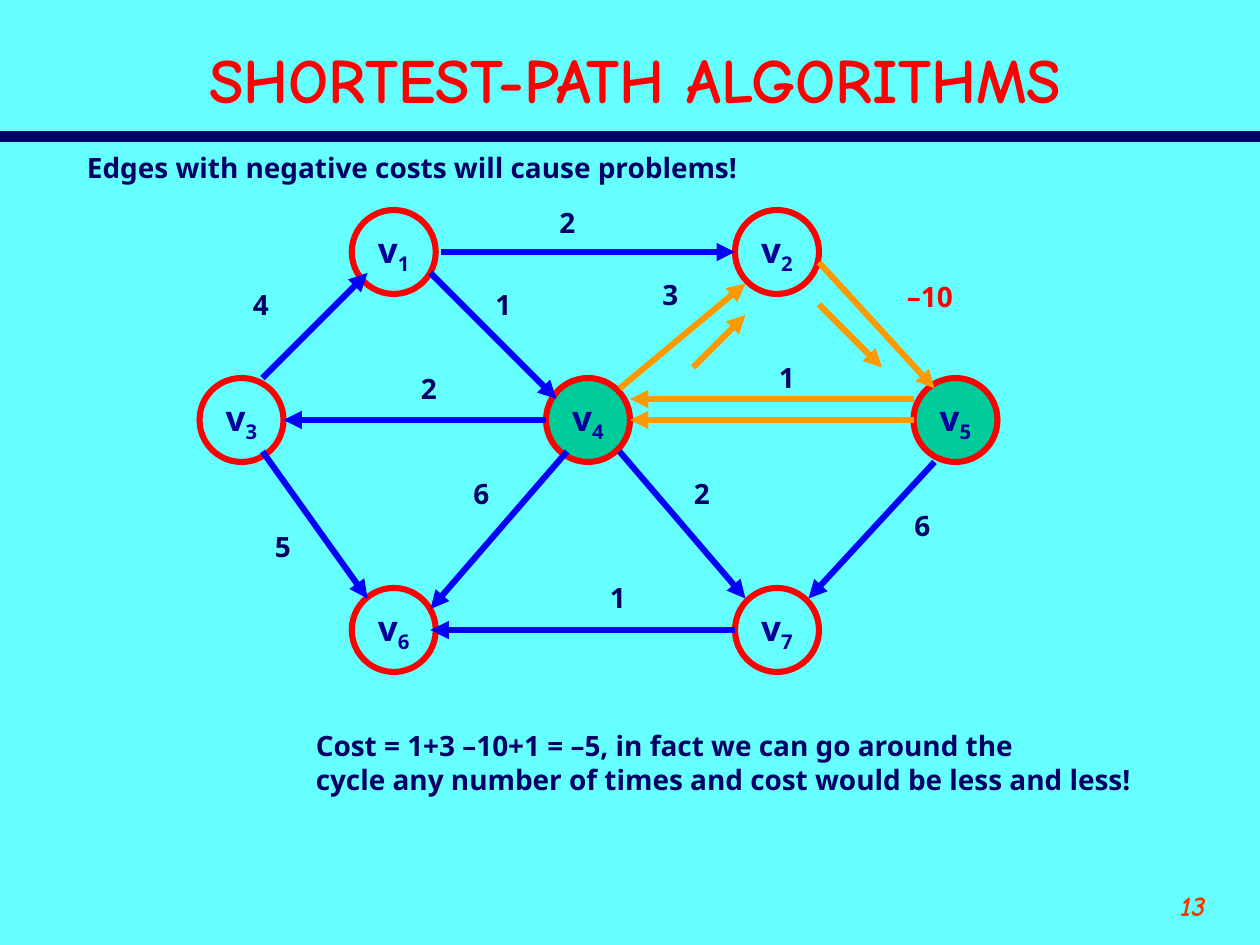
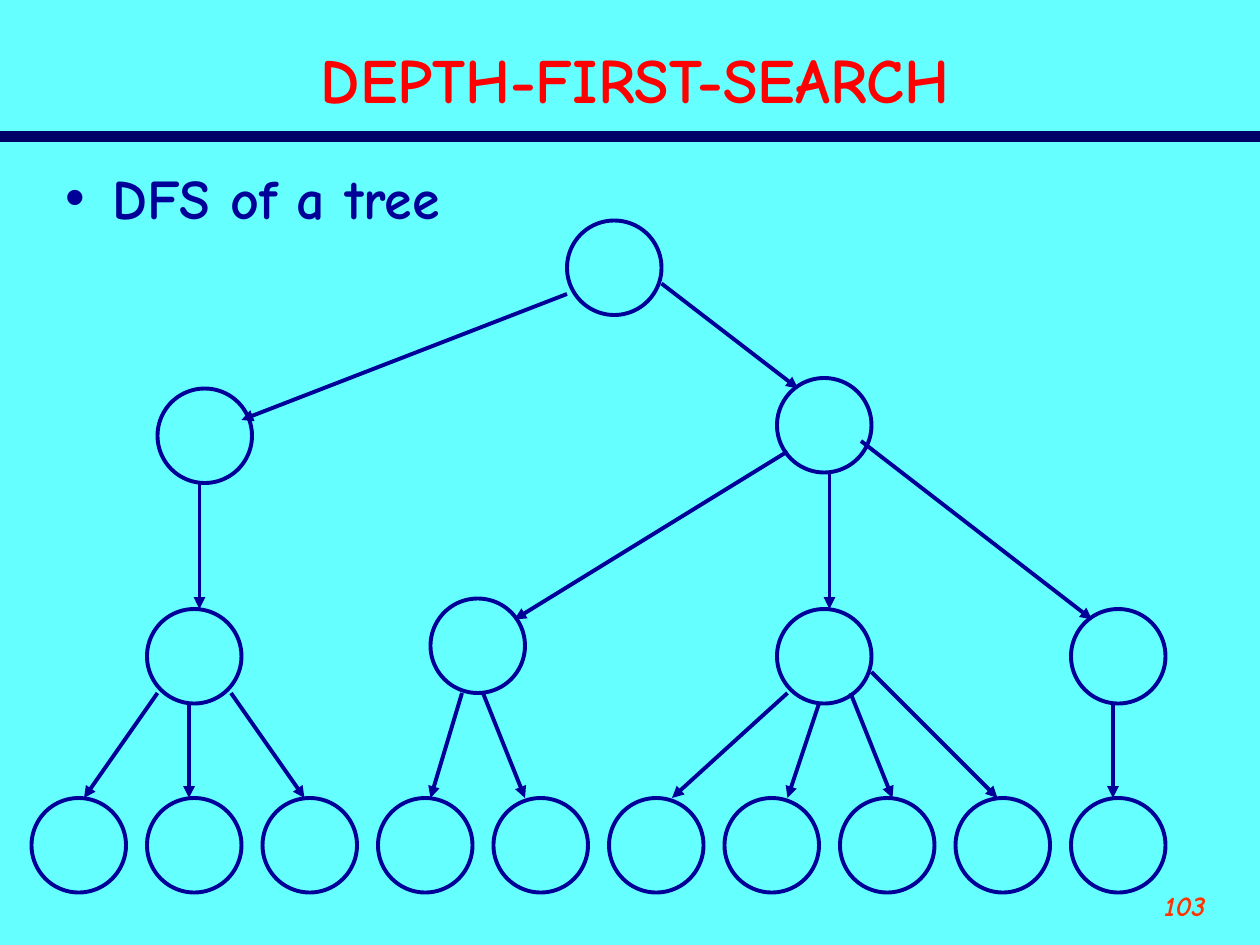
from pptx import Presentation
from pptx.dml.color import RGBColor
from pptx.enum.shapes import MSO_CONNECTOR, MSO_SHAPE
from pptx.enum.text import MSO_ANCHOR, MSO_AUTO_SIZE, PP_ALIGN
from pptx.oxml.ns import qn
from pptx.util import Cm, Pt
from lxml.etree import SubElement

SKY, NAVY, INK = "66FFFF", "000066", "000099"
RED, BLUE, GOLD, GREEN, RUST = "FF0000", "0000FF", "FF9900", "00CC99", "FF3300"
COMIC, SANS = "Comic Neue", "Noto Sans"
STEP = 2.54 / 12


def color(code):
    return RGBColor.from_string(code)


def grid(*steps):
    return [Cm(step * STEP) for step in steps]


def place(shape, *box):
    shape.left, shape.top, shape.width, shape.height = grid(*box)


def style(para, face, size, code, align=PP_ALIGN.LEFT):
    para.alignment = align
    para.space_before = Pt(0)
    font = para.font
    font.name, font.size, font.bold = face, Pt(size), True
    font.color.rgb = color(code)


def add_line(shapes, ends, code, width, arrow=True):
    line = shapes.add_connector(MSO_CONNECTOR.STRAIGHT, *grid(*ends))
    line.line.color.rgb = color(code)
    line.line.width = Pt(width)
    props = line.element.spPr
    if arrow:
        SubElement(props.find(qn("a:ln")), qn("a:tailEnd"), type="triangle")
    SubElement(props, qn("a:effectLst"))
    return line


def add_ring(shapes, left, top, size, code, width, fill=None):
    ring = shapes.add_shape(MSO_SHAPE.OVAL, *grid(left, top, size, size))
    ring.shadow.inherit = False
    if fill:
        ring.fill.solid()
        ring.fill.fore_color.rgb = color(fill)
    else:
        ring.fill.background()
    ring.line.color.rgb = color(code)
    ring.line.width = Pt(width)
    return ring


def add_node(shapes, index, left, top, fill):
    frame = add_ring(shapes, left, top, 8, RED, 3.5, fill).text_frame
    frame.word_wrap = False
    frame.vertical_anchor = MSO_ANCHOR.MIDDLE
    para = frame.paragraphs[0]
    style(para, SANS, 20, INK, PP_ALIGN.CENTER)
    para.add_run().text = "v"
    sub = para.add_run()
    sub.text = index
    sub.font._element.set("baseline", "-25000")


def add_label(shapes, text, left, top, width=3.8, height=4.4, code=NAVY):
    frame = shapes.add_textbox(*grid(left, top, width, height)).text_frame
    frame.word_wrap = False
    frame.auto_size = MSO_AUTO_SIZE.SHAPE_TO_FIT_TEXT
    frame.text = text
    for para in frame.paragraphs:
        style(para, SANS, 16, code)


def add_slide(deck, layout, title, number):
    slide = deck.slides.add_slide(deck.slide_layouts[layout])
    head = slide.shapes.title
    place(head, 5, 3, 111, 9)
    head.text_frame.text = title
    head.text_frame.vertical_anchor = MSO_ANCHOR.MIDDLE
    style(head.text_frame.paragraphs[0], COMIC, 36, RED, PP_ALIGN.CENTER)
    frame = slide.shapes.add_textbox(*grid(104, 84, 12, 6)).text_frame
    frame.word_wrap = True
    frame.text = number
    para = frame.paragraphs[0]
    style(para, COMIC, 16, RUST, PP_ALIGN.RIGHT)
    para.font.italic = True
    return slide


def set_master(deck, slide):
    master = deck.slide_master
    master.background.fill.solid()
    master.background.fill.fore_color.rgb = color(SKY)
    band = add_line(slide.shapes, (0, 13, 120, 13), NAVY, 6, arrow=False)
    master.shapes.element.append(band.element)


def draw_paths(shapes):
    nodes = [
        ("3", 19, 36, None), ("1", 33.5, 20, None), ("6", 33.5, 56, None),
        ("4", 52, 36, GREEN), ("2", 70, 20, None), ("7", 70, 56, None),
        ("5", 87, 36, GREEN),
    ]
    edges = [
        (25, 36, 35, 26), (25, 43, 35, 57), (52, 40, 27, 40),
        (42, 24, 70, 24), (41, 26, 53, 38), (54, 43, 41, 58),
        (59, 43, 71, 57), (70, 60, 41, 60), (89, 44, 77, 57),
    ]
    cycle = [
        (59, 37, 71, 27), (87, 40, 60, 40), (78, 25, 89, 37),
        (87, 38, 60, 38), (66, 35, 71, 30), (78, 29, 84, 35),
    ]
    costs = [
        ("4", 22.9, 26.8), ("2", 52.1, 19), ("1", 73, 33.7),
        ("1", 46, 26.8), ("3", 61.9, 25.8), ("6", 43.9, 44.8),
        ("2", 64.9, 44.8), ("6", 85.9, 47.8), ("1", 56.9, 54.7),
        ("5", 25, 49.8), ("2", 38.9, 34.8),
    ]
    for node in nodes:
        add_node(shapes, *node)
    for code, lines in ((BLUE, edges), (GOLD, cycle)):
        for ends in lines:
            add_line(shapes, ends, code, 3.5)
    for cost in costs:
        add_label(shapes, *cost)
    add_label(shapes, "–10", 85.2, 26, 7, code=RED)
    add_label(shapes, "Edges with negative costs will cause problems!",
              7.1, 13.75, 64.4)
    add_label(shapes, "Cost = 1+3 –10+1 = –5, in fact we can go around the\n"
              "cycle any number of times and cost would be less and less!",
              28.9, 68.8, 80.2, 7.7)


def draw_tree(shapes):
    leaves = [(3 + 11 * i, 76) for i in range(10)]
    inner = [(54, 21), (15, 37), (74, 36), (14, 58), (41, 57), (74, 58), (102, 58)]
    links = [
        (54, 28, 23, 40), (63, 27, 76, 37), (19, 46, 19, 58),
        (75, 43, 49, 59), (79, 45, 79, 58), (82, 42, 104, 59),
        (15, 66, 8, 76), (18, 67, 18, 76), (22, 66, 29, 76),
        (44, 66, 41, 76), (46, 66, 50, 76), (75, 66, 64, 76),
        (78, 67, 75, 76), (81, 66, 85, 76), (83, 64, 95, 76),
        (106, 67, 106, 76),
    ]
    tree = shapes.add_group_shape().shapes
    for left, top in inner + leaves:
        add_ring(tree, left, top, 9, INK, 2.25)
    for ends in links:
        add_line(tree, ends, INK, 2.25)


def add_list(slide, text):
    body = slide.placeholders[1]
    place(body, 5, 15, 111, 71)
    body.text_frame.text = text
    style(body.text_frame.paragraphs[0], COMIC, 32, INK)


def main():
    deck = Presentation()
    deck.slide_width, deck.slide_height = grid(120, 90)
    paths = add_slide(deck, 5, "SHORTEST-PATH ALGORITHMS", "13")
    set_master(deck, paths)
    draw_paths(paths.shapes)
    search = add_slide(deck, 1, "DEPTH-FIRST-SEARCH", "103")
    add_list(search, "DFS of a tree")
    draw_tree(search.shapes)
    deck.save("out.pptx")


if __name__ == "__main__":
    main()
